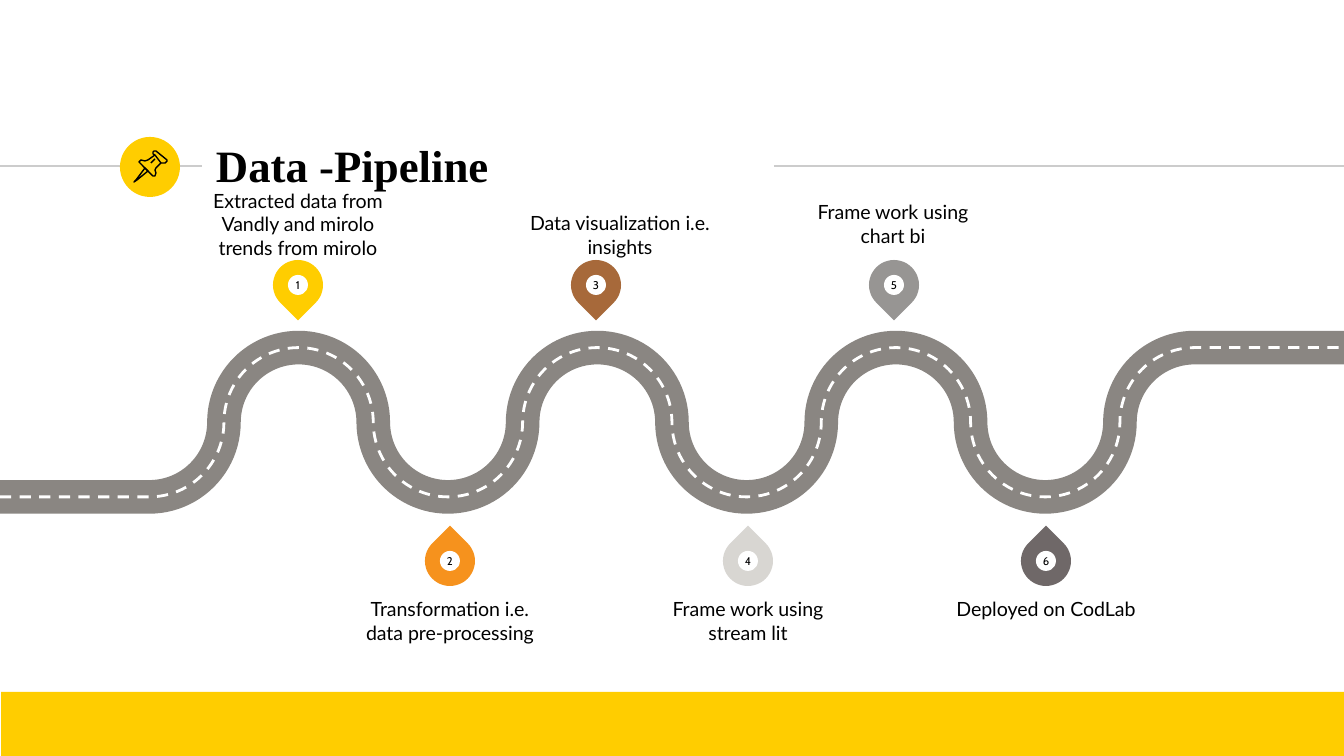
"""Builds the Data-Pipeline roadmap slide."""
from lxml.etree import SubElement
from pptx import Presentation
from pptx.dml.color import RGBColor
from pptx.enum.dml import MSO_LINE
from pptx.enum.shapes import MSO_CONNECTOR, MSO_SHAPE
from pptx.enum.text import MSO_ANCHOR, PP_ALIGN
from pptx.oxml.ns import qn
from pptx.util import Pt

PX = 914400 / 134.4
WIDTH, HEIGHT = 1344, 756
YELLOW, WHITE, BLACK = "FFCD00", "FFFFFF", "000000"
ROAD_BOTTOM, ROAD_RADIUS, ARC_COUNT = 497, WIDTH / 18, 14
ARC_CYCLE = [(90, -90), (180, 90), (270, 90), (180, -90)]
UPPER_Y, LOWER_Y = 260, 536
MARKERS = [
    ("1", 273, UPPER_Y, YELLOW),
    ("2", 425, LOWER_Y, "F6921D"),
    ("3", 571, UPPER_Y, "A7693A"),
    ("4", 723, LOWER_Y, "D8D6D2"),
    ("5", 869, UPPER_Y, "979593"),
    ("6", 1021, LOWER_Y, "6F6868"),
]
LABELS = [
    ("Extracted data from Vandly and mirolo trends from mirolo", 203, 196, 63, MSO_ANCHOR.BOTTOM),
    ("Transformation i.e. data pre-processing", 355, 597, 116, MSO_ANCHOR.TOP),
    ("Data visualization i.e. insights", 525, 180, 78, MSO_ANCHOR.BOTTOM),
    ("Frame work using stream lit", 653, 597, 78, MSO_ANCHOR.TOP),
    ("Frame work using\nchart bi", 798, 169, 78, MSO_ANCHOR.BOTTOM),
    ("Deployed on CodLab", 951, 597, 78, MSO_ANCHOR.TOP),
]
PIN_OUTLINES = [
    ([(145, 168), (136, 180), (134, 182), (137, 180), (148, 171)], True),
    ([(155, 155), (161, 163), (165, 163), (167, 161), (167, 160),
      (156, 151), (154, 151), (153, 152), (153, 154)], True),
    ([(155, 155), (148, 160), (145, 161), (141, 160), (140, 161), (139, 162),
      (153, 176), (155, 176), (156, 173), (155, 170), (156, 168), (161, 163)], False),
    ([(151, 163), (155, 159)], False),
]


def px(length):
    """Turn pixels into EMU."""
    return round(length * PX)


def color(value):
    """Turn a hex string into a colour."""
    return RGBColor.from_string(value)


def add_filled(shapes, kind, box, fill, rotation=0):
    """Add a preset shape with a plain fill and no outline."""
    shape = shapes.add_shape(kind, *map(px, box))
    shape.shadow.inherit = False
    shape.fill.solid()
    shape.fill.fore_color.rgb = color(fill)
    shape.line.fill.background()
    shape.rotation = rotation
    return shape


def add_rule(slide, left, right, y):
    """Add a thin horizontal line."""
    rule = slide.shapes.add_connector(
        MSO_CONNECTOR.STRAIGHT, px(left), px(y), px(right), px(y))
    rule.line.color.rgb = color("CCCCCC")
    rule.line.width = Pt(0.75)
    SubElement(rule.element.spPr, qn("a:effectLst"))


def write_text(shape, text, font_name, size, anchor, align, margin=0, bold=False):
    """Fill a shape with text in one style."""
    frame = shape.text_frame
    frame.word_wrap = True
    frame.vertical_anchor = anchor
    frame.margin_left = frame.margin_right = px(margin)
    frame.margin_top = frame.margin_bottom = px(margin)
    frame.text = text
    for paragraph in frame.paragraphs:
        paragraph.alignment = align
        paragraph.font.name = font_name
        paragraph.font.size = Pt(size)
        paragraph.font.bold = bold
        paragraph.font.color.rgb = color(BLACK)


def add_outline(shapes, points, line_color, line_width, closed=False):
    """Add an unfilled freeform through the points."""
    start, *others = [(px(x), px(y)) for x, y in points]
    builder = shapes.build_freeform(*start)
    builder.add_line_segments(others, close=closed)
    shape = builder.convert_to_shape()
    shape.shadow.inherit = False
    shape.fill.background()
    shape.line.color.rgb = color(line_color)
    shape.line.width = Pt(line_width)
    return shape


def add_road(slide, line_color, line_width):
    """Add the winding road, made of quarter circles between two straights."""
    heights = [0, 1, 2, 1]
    bends = [((2 + i) * ROAD_RADIUS, ROAD_BOTTOM - heights[i % 4] * ROAD_RADIUS)
             for i in range(ARC_COUNT + 1)]
    points = [(0, ROAD_BOTTOM), *bends, (WIDTH, bends[-1][1])]
    road = add_outline(slide.shapes, points, line_color, line_width)
    segments = list(road.element.iter(qn("a:lnTo")))[1:-1]
    radius = str(px(ROAD_RADIUS))
    for i, segment in enumerate(segments):
        start, sweep = ARC_CYCLE[i % 4]
        arc = SubElement(segment.getparent(), qn("a:arcTo"), wR=radius, hR=radius,
                         stAng=str(start * 60000), swAng=str(sweep * 60000))
        segment.getparent().replace(segment, arc)
    return road


def add_marker(slide, number, left, top, fill):
    """Add a numbered map marker that points at the road."""
    shapes = slide.shapes.add_group_shape().shapes
    rotation = 135 if top == UPPER_Y else 315
    add_filled(shapes, MSO_SHAPE.TEAR, (left, top, 50, 50), fill, rotation)
    dot = add_filled(shapes, MSO_SHAPE.OVAL, (left + 15, top + 15, 20, 20), WHITE)
    write_text(dot, number, "Cabin", 6, MSO_ANCHOR.MIDDLE, PP_ALIGN.CENTER)


def add_label(slide, text, left, top, height, anchor):
    """Add the description of one step."""
    label = slide.shapes.add_textbox(px(left), px(top), px(190), px(height))
    write_text(label, text, "Lato", 10.5, anchor, PP_ALIGN.CENTER)


def add_header(slide):
    """Add the title between its two rules, with the icon disc."""
    add_rule(slide, 0, 202, 166)
    add_filled(slide.shapes, MSO_SHAPE.OVAL, (120, 137, 60, 60), YELLOW)
    add_rule(slide, 774, WIDTH, 166)
    title = slide.shapes.add_textbox(px(203), px(132), px(570), px(65))
    write_text(title, "Data -Pipeline", "Times New Roman", 24,
               MSO_ANCHOR.MIDDLE, PP_ALIGN.LEFT, margin=13, bold=True)


def add_pin(slide):
    """Add the pushpin icon."""
    shapes = slide.shapes.add_group_shape().shapes
    for points, closed in PIN_OUTLINES:
        add_outline(shapes, points, BLACK, 0.75, closed)


def main():
    """Build and save the slide."""
    presentation = Presentation()
    presentation.slide_width = px(WIDTH)
    presentation.slide_height = px(HEIGHT)
    slide = presentation.slides.add_slide(presentation.slide_layouts[6])
    add_header(slide)
    add_road(slide, "8A8682", 18)
    add_road(slide, WHITE, 1.5).line.dash_style = MSO_LINE.DASH
    for marker in MARKERS:
        add_marker(slide, *marker)
    for label in LABELS:
        add_label(slide, *label)
    add_pin(slide)
    add_filled(slide.shapes, MSO_SHAPE.RECTANGLE, (1, 692, WIDTH - 1, 64), YELLOW)
    presentation.save("out.pptx")


if __name__ == "__main__":
    main()
